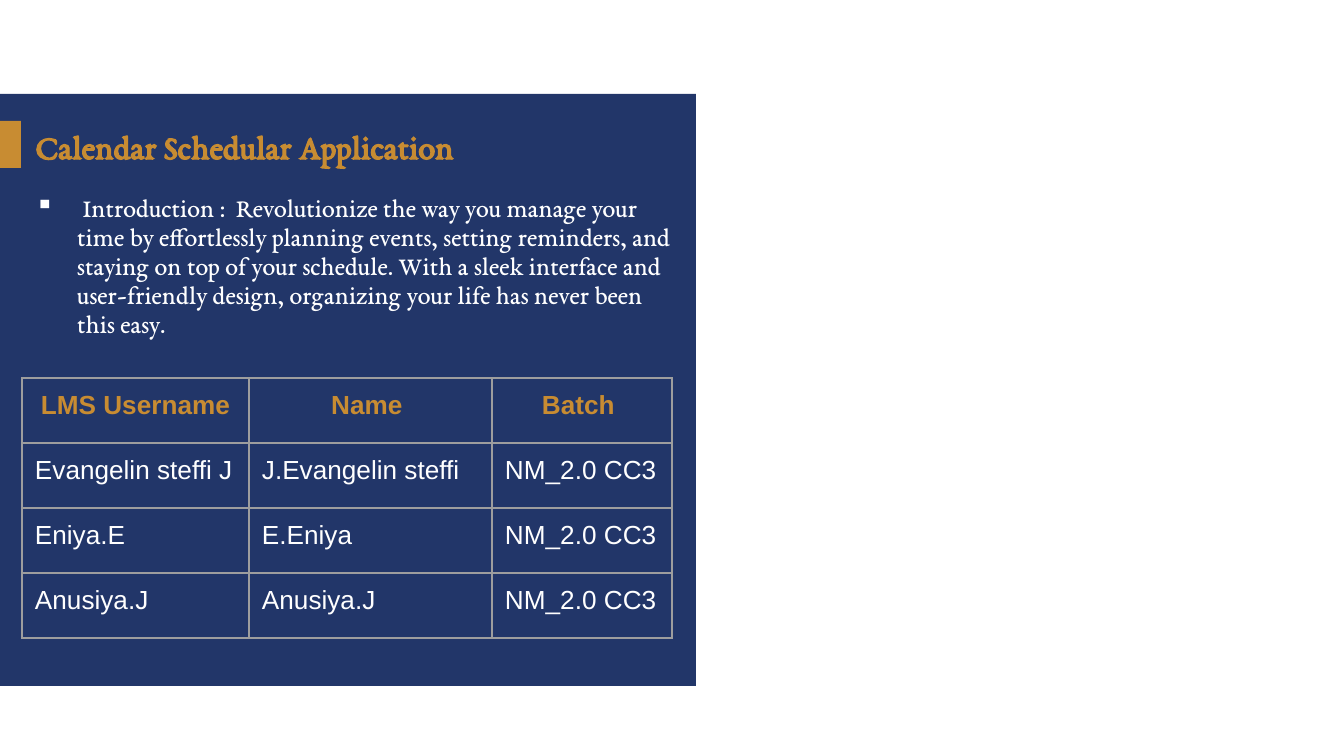
from lxml import etree
from pptx import Presentation
from pptx.dml.color import RGBColor
from pptx.enum.shapes import MSO_SHAPE
from pptx.enum.text import MSO_ANCHOR, PP_ALIGN
from pptx.oxml.ns import qn
from pptx.util import Emu, Pt

RECTANGLE = MSO_SHAPE.RECTANGLE
MIDDLE, TOP = MSO_ANCHOR.MIDDLE, MSO_ANCHOR.TOP
CENTER, LEFT = PP_ALIGN.CENTER, PP_ALIGN.LEFT

NAVY, GOLD, WHITE, GREY = "223669", "C88C32", "FFFFFF", "9E9E9E"
SERIF, SANS = "EB Garamond", "Arial"

TITLE = "Calendar Schedular Application"
INTRODUCTION = (
    " Introduction :  Revolutionize the way you manage your time by "
    "effortlessly planning events, setting reminders, and staying on top of "
    "your schedule. With a sleek interface and user-friendly design, "
    "organizing your life has never been this easy."
)
MEMBERS = [
    ("LMS Username", "Name ", "Batch "),
    ("Evangelin steffi J", "J.Evangelin steffi", "NM_2.0 CC3"),
    ("Eniya.E", "E.Eniya", "NM_2.0 CC3"),
    ("Anusiya.J", "Anusiya.J", "NM_2.0 CC3"),
]
COLUMN_WIDTHS = (227, 243, 180)
ROW_HEIGHT = 65


def px(length):
    """Turn px, at 134.4 to the inch, into EMU."""
    return Emu(round(length * 914400 / 134.4))


def color(hex_code):
    """Turn a hex string into a colour."""
    return RGBColor.from_string(hex_code)


def add_block(slide, left, top, width, height, fill):
    """Add a plain filled rectangle."""
    block = slide.shapes.add_shape(RECTANGLE, px(left), px(top), px(width), px(height))
    block.shadow.inherit = False
    block.fill.solid()
    block.fill.fore_color.rgb = color(fill)
    block.line.fill.background()


def write(paragraph, text, ink, **font_format):
    """Add a run of text in the given colour and format."""
    run = paragraph.add_run()
    run.text = text
    run.font.color.rgb = color(ink)
    for attribute, value in font_format.items():
        setattr(run.font, attribute, value)


def add_text(slide, left, top, width, height, anchor):
    """Add a wrapping text box and return its first paragraph."""
    frame = slide.shapes.add_textbox(px(left), px(top), px(width), px(height)).text_frame
    frame.word_wrap = True
    frame.vertical_anchor = anchor
    return frame.paragraphs[0]


def add_bullet(paragraph, character, ink, indent):
    """Give a paragraph a coloured bullet and a hanging indent."""
    properties = paragraph._p.get_or_add_pPr()
    properties.set("marL", str(px(indent)))
    properties.set("indent", str(-px(indent)))
    bullet_color = etree.SubElement(properties, qn("a:buClr"))
    etree.SubElement(bullet_color, qn("a:srgbClr"), val=ink)
    etree.SubElement(properties, qn("a:buChar"), char=character)


def add_borders(cell, ink, points):
    """Draw a line on all four sides of a cell."""
    properties = cell._tc.get_or_add_tcPr()
    for side in ("lnL", "lnR", "lnT", "lnB"):
        border = etree.SubElement(properties, qn(f"a:{side}"), w=str(Pt(points)))
        fill = etree.SubElement(border, qn("a:solidFill"))
        etree.SubElement(fill, qn("a:srgbClr"), val=ink)


def fill_cell(cell, text, is_header):
    """Format one cell and write its text."""
    add_borders(cell, GREY, 0.75)
    cell.fill.background()
    for side in ("left", "right", "top", "bottom"):
        setattr(cell, f"margin_{side}", px(13))
    paragraph = cell.text_frame.paragraphs[0]
    paragraph.alignment = CENTER if is_header else LEFT
    write(paragraph, text, GOLD if is_header else WHITE,
          name=SANS, size=Pt(14), bold=is_header)


def add_members(slide, left, top):
    """Add the table of team members."""
    table = slide.shapes.add_table(
        len(MEMBERS), len(COLUMN_WIDTHS), px(left), px(top),
        px(sum(COLUMN_WIDTHS)), px(ROW_HEIGHT * len(MEMBERS))).table
    for column, width in zip(table.columns, COLUMN_WIDTHS):
        column.width = px(width)
    for row_index, member in enumerate(MEMBERS):
        table.rows[row_index].height = px(ROW_HEIGHT)
        for column_index, text in enumerate(member):
            fill_cell(table.cell(row_index, column_index), text, row_index == 0)


def main():
    """Build the slide and save it."""
    presentation = Presentation()
    presentation.slide_width, presentation.slide_height = px(1344), px(756)
    slide = presentation.slides.add_slide(presentation.slide_layouts[6])

    add_block(slide, 0, 94, 696, 592, NAVY)
    add_block(slide, 0, 121, 21, 47, GOLD)

    title = add_text(slide, 22, 120, 503, 51, MIDDLE)
    write(title, TITLE, GOLD, name=SERIF, size=Pt(18.3), bold=True)

    introduction = add_text(slide, 22, 188, 668, 449, TOP)
    add_bullet(introduction, "▪", WHITE, 42)
    introduction.line_spacing = 0.92
    write(introduction, INTRODUCTION, WHITE, name=SERIF, size=Pt(14))

    add_members(slide, 22, 378)
    presentation.save("out.pptx")


if __name__ == "__main__":
    main()
